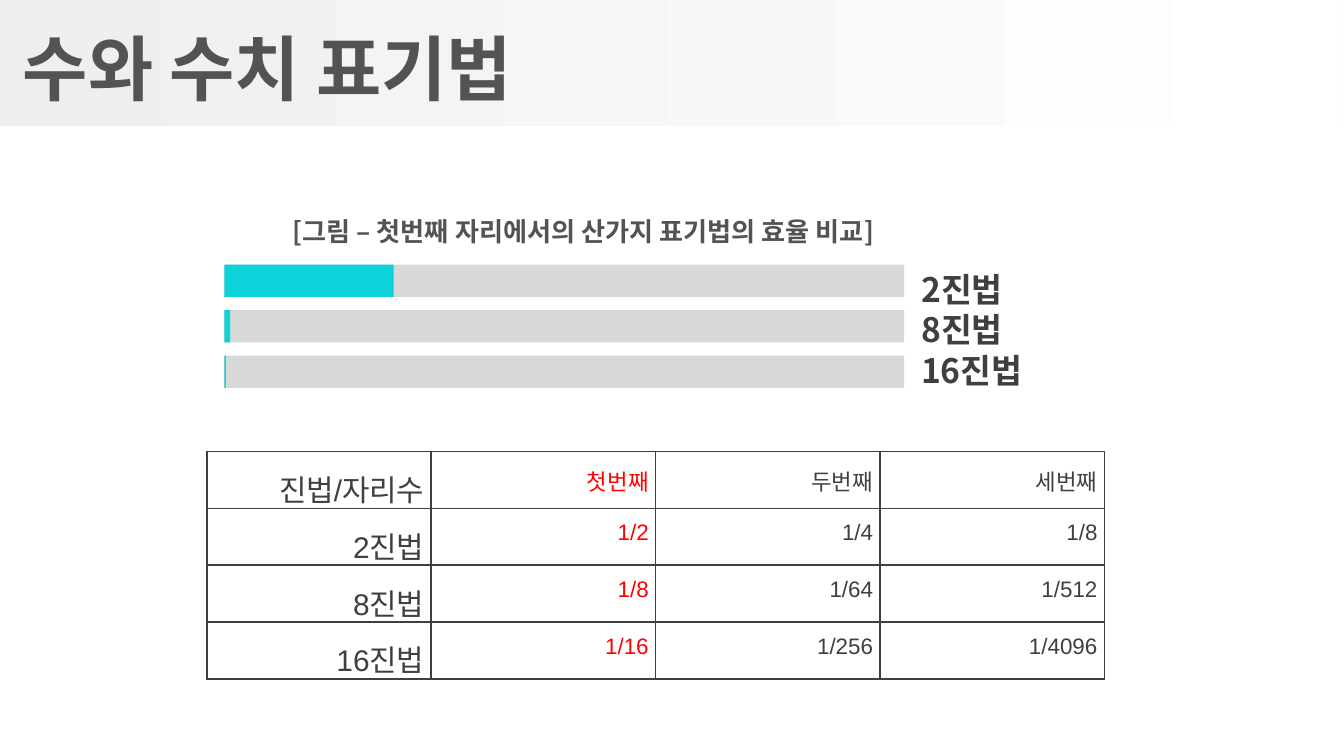
import pptx
import pptx.dml.color
import pptx.enum.shapes
import pptx.enum.text
import pptx.oxml
import pptx.oxml.ns
import pptx.util
from pptx.util import Cm

ALIGN = pptx.enum.text.PP_ALIGN
HEADING_FONT, TABLE_FONT = "Noto Sans CJK KR", "Arial"
GRAY, DARK, RED = "535353", "3F3F3F", "FF0000"
TRACK, CYAN = "D8D8D8", "0DD2D9"
INSET = Cm(0.13)


def color(hex_code):
    return pptx.dml.color.RGBColor.from_string(hex_code)


class NumeralSlide:
    """Holds the current slide and its shared text, bar and table style."""

    def __init__(self, presentation):
        self.slide = presentation.slides.add_slide(presentation.slide_layouts[5])
        self.shapes = self.slide.shapes

    def add_text(self, frame, text, size, hex_code, align, bold=True, spacing=1.0,
                 font=HEADING_FONT):
        paragraph = frame.paragraphs[0]
        paragraph.alignment = align
        paragraph.line_spacing = spacing
        run = paragraph.add_run()
        run.text = text
        run.font.size = pptx.util.Pt(size)
        run.font.bold = bold
        run.font.name = font
        run.font.color.rgb = color(hex_code)
        east_asian = pptx.oxml.parse_xml(
            f'<a:ea {pptx.oxml.ns.nsdecls("a")} typeface="{HEADING_FONT}"/>')
        run.font._element.find(pptx.oxml.ns.qn("a:latin")).addnext(east_asian)

    def set_insets(self, holder):
        holder.margin_left = holder.margin_right = INSET
        holder.margin_top = holder.margin_bottom = INSET

    def bar(self, left, top, width, height, hex_code=None):
        bar = self.shapes.add_shape(
            pptx.enum.shapes.MSO_SHAPE.RECTANGLE,
            Cm(left), Cm(top), Cm(width), Cm(height))
        bar.shadow.inherit = False
        bar.line.fill.background()
        if hex_code:
            bar.fill.solid()
            bar.fill.fore_color.rgb = color(hex_code)
        return bar

    def title_band(self):
        """Puts a fading band behind everything else."""
        band = self.bar(0, 0, 25.3, 2.39)
        band.fill.gradient()
        band.fill.gradient_angle = 0
        for stop, hex_code in zip(band.fill.gradient_stops, ("EFEFEF", "FFFFFF")):
            stop.color.rgb = color(hex_code)
        self.shapes.title._element.addprevious(band._element)

    def title(self, text):
        title = self.shapes.title
        title.left, title.top = Cm(0), Cm(0.18)
        title.width, title.height = Cm(25.4), Cm(2.16)
        frame = title.text_frame
        self.set_insets(frame)
        frame.margin_left = Cm(0.43)
        frame.vertical_anchor = pptx.enum.text.MSO_ANCHOR.MIDDLE
        self.add_text(frame, text, 38, GRAY, ALIGN.LEFT)

    def label(self, text, left, top, width, height, size, hex_code,
              align=ALIGN.LEFT, spacing=1.0):
        box = self.shapes.add_textbox(Cm(left), Cm(top), Cm(width), Cm(height))
        box.text_frame.word_wrap = True
        self.set_insets(box.text_frame)
        self.add_text(box.text_frame, text, size, hex_code, align, spacing=spacing)

    def border(self, cell):
        properties = cell._tc.get_or_add_tcPr()
        for position, side in enumerate(("lnL", "lnR", "lnT", "lnB")):
            properties.insert(position, pptx.oxml.parse_xml(
                f'<a:{side} {pptx.oxml.ns.nsdecls("a")} w="12700"><a:solidFill>'
                f'<a:srgbClr val="{DARK}"/></a:solidFill></a:{side}>'))

    def table(self, rows, left, top, column_width, row_heights):
        columns = len(rows[0])
        table = self.shapes.add_table(
            len(rows), columns, Cm(left), Cm(top),
            Cm(column_width * columns), Cm(sum(row_heights))).table
        table.first_row = table.horz_banding = False
        for column in table.columns:
            column.width = Cm(column_width)
        for r, (values, height) in enumerate(zip(rows, row_heights)):
            table.rows[r].height = Cm(height)
            for c, value in enumerate(values):
                cell = table.cell(r, c)
                cell.fill.background()
                self.set_insets(cell)
                self.border(cell)
                self.add_text(cell.text_frame, value, 16 if c == 0 else 12,
                              RED if c == 1 else DARK, ALIGN.RIGHT, bold=False,
                              spacing=1.2, font=TABLE_FONT)


def main():
    presentation = pptx.Presentation()
    presentation.slide_width, presentation.slide_height = Cm(25.4), Cm(14.28)
    page = NumeralSlide(presentation)
    page.title_band()
    page.title("수와 수치 표기법")

    efficiency = [("2진법", 3.2), ("8진법", 0.11), ("16진법", 0.03)]
    for i, (system, used) in enumerate(efficiency):
        bar_top = 5 + 0.86 * i
        page.label(system, 17.28, 4.8 + 0.76 * i, 2.36, 0.97, 18, DARK, spacing=1.2)
        page.bar(4.24, bar_top, 12.85, 0.61, TRACK)
        page.bar(4.24, bar_top, used, 0.61, CYAN)
    page.label("[그림 – 첫번째 자리에서의 산가지 표기법의 효율 비교]",
               3.45, 3.94, 13.21, 0.81, 14, GRAY, ALIGN.RIGHT)

    rows = [["진법/자리수", "첫번째", "두번째", "세번째"]]
    for base in (2, 8, 16):
        rows.append([f"{base}진법"] + [f"1/{base ** digit}" for digit in (1, 2, 3)])
    page.table(rows, 3.91, 8.53, 4.24, [0.36] + [1.03] * 3)
    presentation.save("out.pptx")


if __name__ == "__main__":
    main()
